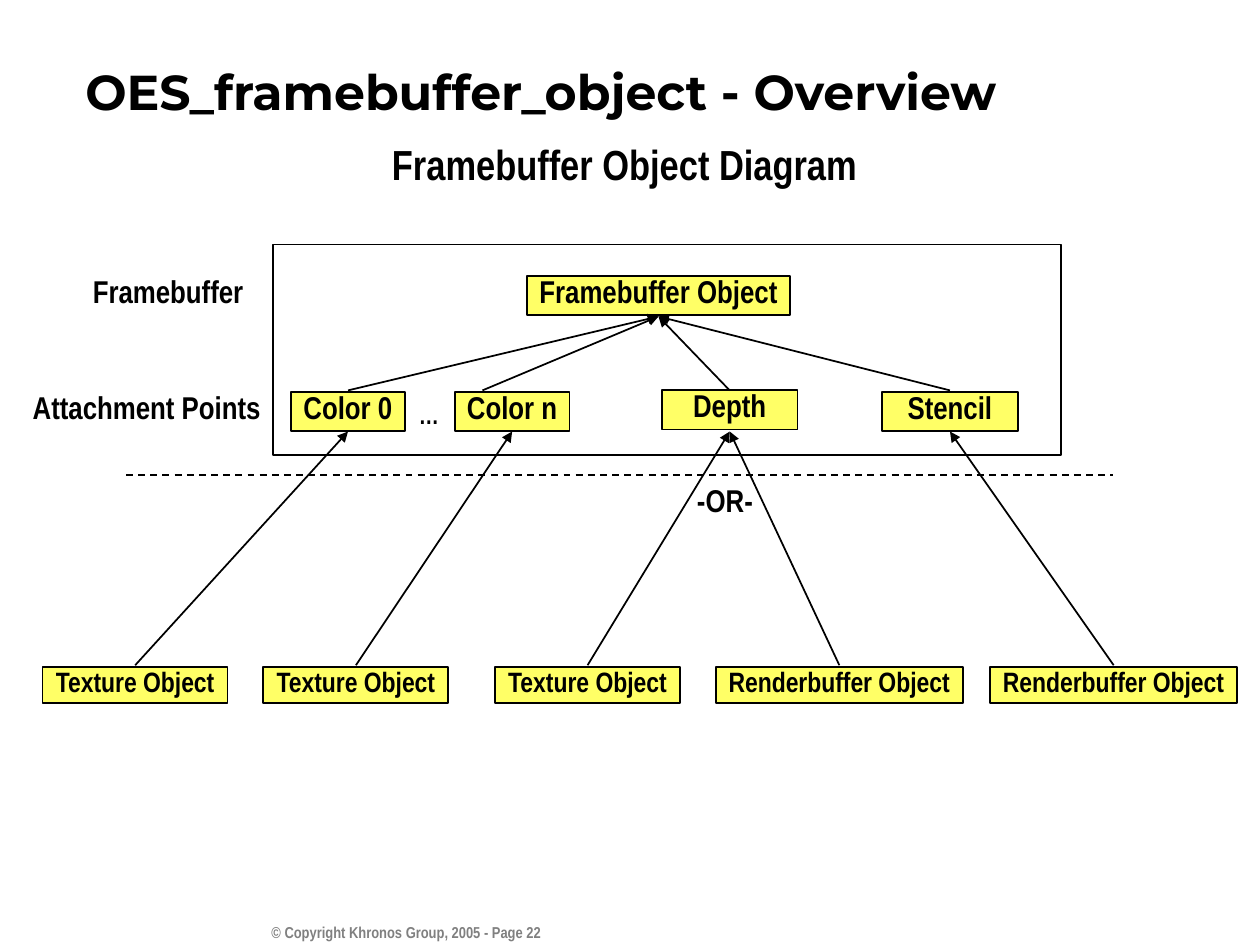
from dataclasses import dataclass

import lxml.etree
import pptx
import pptx.dml.color
import pptx.enum.dml
import pptx.enum.shapes
import pptx.enum.text
import pptx.oxml.ns
import pptx.util

Cm = pptx.util.Cm
Pt = pptx.util.Pt
Align = pptx.enum.text.PP_ALIGN
Anchor = pptx.enum.text.MSO_ANCHOR
Shape = pptx.enum.shapes.MSO_SHAPE


def color(code):
    return pptx.dml.color.RGBColor.from_string(code)


@dataclass
class Theme:
    ink: str = "000000"
    gray: str = "808080"
    fill: str = "FFFF66"
    font: str = "Arial Narrow"
    head: str = "Montserrat"
    title: int = 28
    sub: int = 24
    label: int = 18
    small: int = 16
    dots: int = 14
    foot: int = 9
    tight: float = 0.7
    line: int = 1


def write(frame, text, *, font, size, ink, align=Align.CENTER,
          anchor=Anchor.TOP, space=1.0, wrap=True):
    frame.word_wrap = wrap
    frame.vertical_anchor = anchor
    frame.margin_left = frame.margin_right = Cm(0.25)
    frame.margin_top = frame.margin_bottom = Cm(0.13)
    para = frame.paragraphs[0]
    para.alignment = align
    para.line_spacing = space
    run = para.add_run()
    run.text = text
    run.font.name = font
    run.font.size = Pt(size)
    run.font.bold = True
    run.font.color.rgb = color(ink)


class Pen:
    def __init__(self, slide, theme):
        self.slide = slide
        self.theme = theme

    def text(self, text, place, size, **form):
        box = self.slide.shapes.add_textbox(*map(Cm, place))
        form = {"font": self.theme.font, "ink": self.theme.ink, **form}
        write(box.text_frame, text, size=size, **form)

    def label(self, text, place, size):
        self.text(text, place, size, space=self.theme.tight)

    def shape(self, place, kind=Shape.RECTANGLE):
        shape = self.slide.shapes.add_shape(kind, *map(Cm, place))
        shape.shadow.inherit = False
        shape.fill.background()
        shape.line.color.rgb = color(self.theme.ink)
        shape.line.width = Pt(self.theme.line)
        return shape

    def box(self, text, place, size, kind=Shape.RECTANGLE):
        shape = self.shape(place, kind)
        shape.fill.solid()
        shape.fill.fore_color.rgb = color(self.theme.fill)
        write(shape.text_frame, text, font=self.theme.font, size=size,
              ink=self.theme.ink, anchor=Anchor.MIDDLE,
              space=self.theme.tight, wrap=False)
        return place[0] + place[2] / 2

    def line(self, start, end):
        line = self.slide.shapes.add_connector(
            pptx.enum.shapes.MSO_CONNECTOR.STRAIGHT,
            *map(Cm, (*start, *end)))
        line.line.color.rgb = color(self.theme.ink)
        line.line.width = Pt(self.theme.line)
        lxml.etree.SubElement(line._element.spPr,
                              pptx.oxml.ns.qn("a:effectLst"))
        return line

    def dash(self, start, end):
        line = self.line(start, end)
        line.line.dash_style = pptx.enum.dml.MSO_LINE.DASH

    def arrow(self, start, end):
        line = self.line(start, end)
        lxml.etree.SubElement(line.line._get_or_add_ln(),
                              pptx.oxml.ns.qn("a:tailEnd"), type="triangle")


def main():
    deck = pptx.Presentation()
    deck.slide_width, deck.slide_height = Cm(25.4), Cm(19.05)
    theme = Theme()
    pen = Pen(deck.slides.add_slide(deck.slide_layouts[6]), theme)

    pen.text("© Copyright Khronos Group, 2005 - Page 22",
             (5.08, 18.47, 6.07, 0.84), theme.foot,
             ink=theme.gray, align=Align.RIGHT)
    pen.text("Framebuffer Object Diagram", (0.84, 2.74, 23.5, 1.55),
             theme.sub, space=0.95)
    pen.text("OES_framebuffer_object - Overview", (1.47, 1.3, 23.8, 1.07),
             theme.title, font=theme.head, align=Align.LEFT,
             anchor=Anchor.MIDDLE)

    for text, place, size in (
        ("Framebuffer", (0.43, 5.56, 5.92, 0.79), theme.label),
        ("Attachment Points", (0, 7.9, 5.92, 0.79), theme.label),
        ("…", (7.57, 8.1, 2.16, 0.69), theme.dots),
        ("-OR-", (13.79, 9.78, 1.65, 0.79), theme.label),
    ):
        pen.label(text, place, size)

    root = pen.box("Framebuffer Object", (10.62, 5.56, 5.31, 0.79),
                   theme.label, Shape.FLOWCHART_PROCESS)
    points = {}
    for text, left, top, width, shift in (
        ("Color 0", 5.87, 7.9, 2.29, 0),
        ("Color n", 9.17, 7.9, 2.31, -0.6),
        ("Depth", 13.34, 7.87, 2.74, 0),
        ("Stencil", 17.78, 7.9, 2.74, 0),
    ):
        mid = pen.box(text, (left, top, width, 0.79), theme.label)
        pen.arrow((mid + shift, 7.87), (root, 6.38))
        points[text] = mid

    for kind, left, width, point in (
        ("Texture", 0.86, 3.73, "Color 0"),
        ("Texture", 5.31, 3.73, "Color n"),
        ("Texture", 9.98, 3.73, "Depth"),
        ("Renderbuffer", 14.43, 4.98, "Depth"),
        ("Renderbuffer", 19.96, 4.98, "Stencil"),
    ):
        mid = pen.box(f"{kind} Object", (left, 13.44, width, 0.74),
                      theme.small)
        pen.arrow((mid, 13.41), (points[point], 8.7))

    pen.dash((2.54, 9.58), (22.43, 9.58))
    pen.shape((5.51, 4.93, 15.88, 4.24))

    deck.save("out.pptx")


if __name__ == "__main__":
    main()
